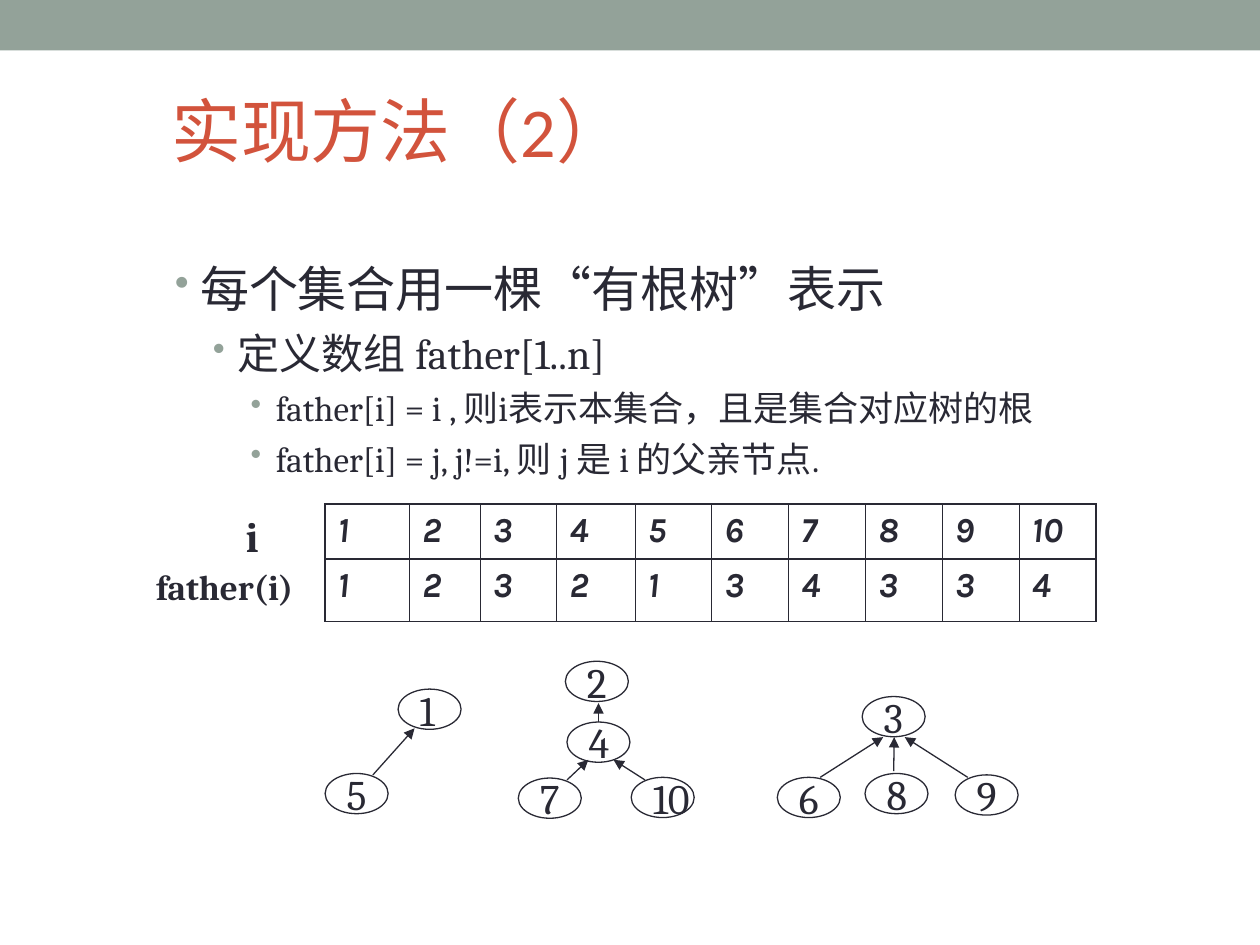
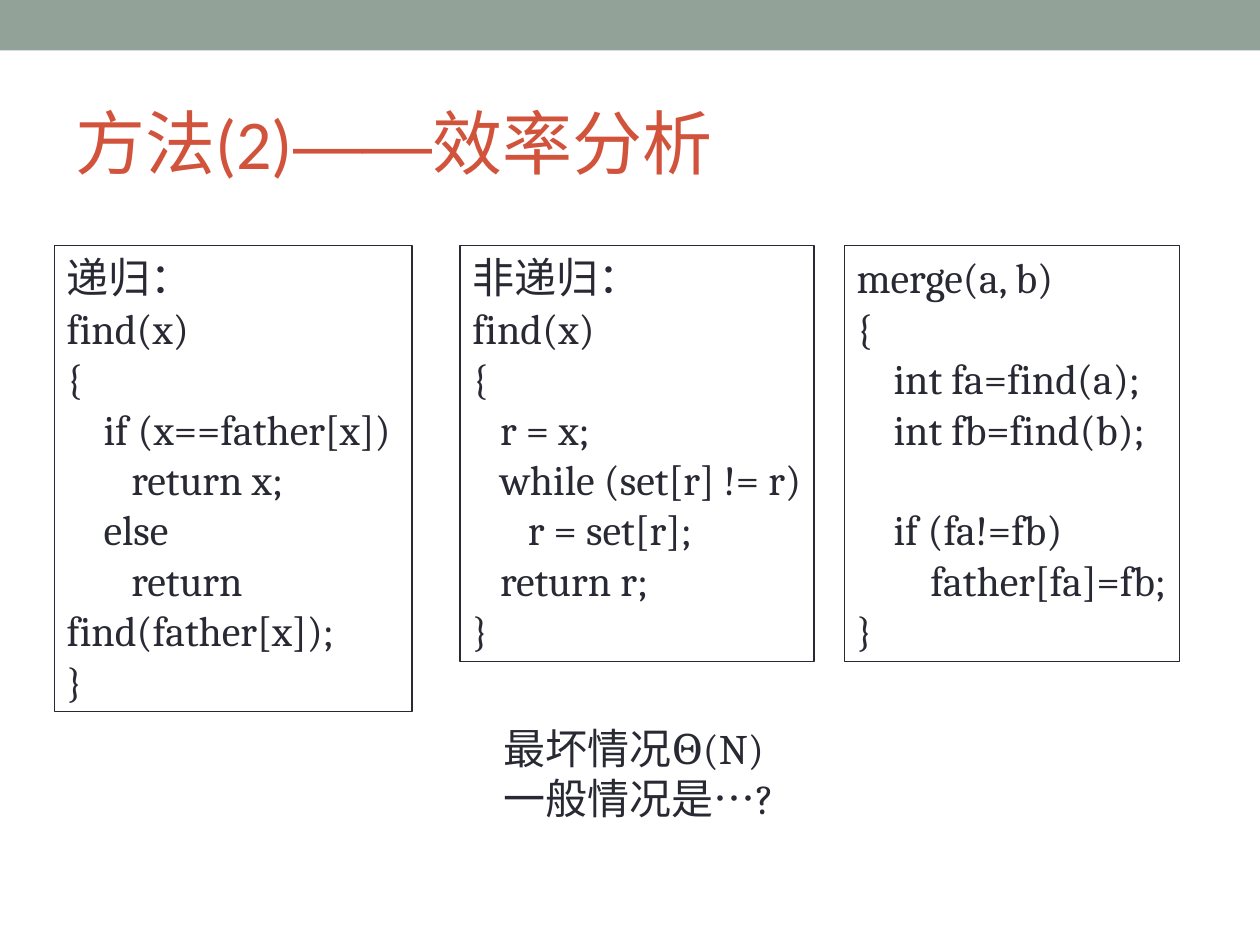
from lxml.etree import SubElement
from pptx import Presentation
from pptx.dml.color import RGBColor
from pptx.enum.shapes import MSO_CONNECTOR, MSO_SHAPE
from pptx.enum.text import MSO_ANCHOR, MSO_AUTO_SIZE, PP_ALIGN
from pptx.oxml.ns import qn
from pptx.util import Pt

SAGE = RGBColor(0x93, 0xA2, 0x99)
RED = RGBColor(0xD2, 0x53, 0x3C)
INK = RGBColor(0x29, 0x29, 0x34)
WHITE = RGBColor(0xFF, 0xFF, 0xFF)
SERIF, SANS = "Cambria", "Calibri"
NODE_W, NODE_H = 36, 23

POINTS = [  # level, size, text or (text, font) runs
    (0, 28, [("每个集合用一棵", SERIF), ("“", "Times New Roman"), ("有根树", SERIF),
             ("”", "Times New Roman"), ("表示", SERIF)]),
    (1, 24, "定义数组 father[1..n]"),
    (2, 20, "father[i] = i , 则i表示本集合，且是集合对应树的根"),
    (2, 20, "father[i] = j, j!=i, 则 j 是 i 的父亲节点."),
]
FATHERS = [1, 2, 3, 2, 1, 3, 4, 3, 3, 4]
COL_WIDTHS = [48.24, 40.32, 43.92, 44.64] + [43.92] * 6
NODES = {  # left, top
    1: (227.5, 393.8), 5: (185.8, 442), 2: (323.1, 377.9), 4: (324, 412.6),
    7: (296.2, 444.6), 10: (360.7, 444.2), 3: (492.7, 398), 6: (444.2, 444.2),
    8: (494.3, 442), 9: (545.8, 442.8),
}
ARROWS = [  # child end, father end
    ((213.1, 442.8), (236.9, 416.2)), ((324, 445.7), (336.2, 434.2)),
    ((368.6, 445.7), (350.6, 434.2)), ((342, 412.6), (342, 401.8)),
    ((468.7, 444.2), (504.7, 421.2)), ((510.7, 440.6), (511, 421.2)),
    ((553, 444.2), (517, 421.2)),
]
RECURSE = """递归：
find(x)
{
    if (x==father[x])
       return x;
    else
       return find(father[x]);
}"""
LOOP = """非递归：
find(x)
{
   r = x;
   while (set[r] != r)
      r = set[r];
   return r;
}"""
MERGE = """merge(a, b)
{
    int fa=find(a);
    int fb=find(b);
    
    if (fa!=fb)
        father[fa]=fb;
}"""


def style(run, size, font=SERIF, color=INK, bold=False, slant=False):
    run.font.size, run.font.name = Pt(size), font
    run.font.bold, run.font.italic = bold, slant
    run.font.color.rgb = color


def write(frame, text, size, **look):
    """Fill a frame with plain lines or a single line of (text, font) runs."""
    if isinstance(text, str):
        frame.text = text
        for para in frame.paragraphs:
            para.alignment = PP_ALIGN.LEFT
            for run in para.runs:
                style(run, size, **look)
    else:
        add_runs(frame.paragraphs[0], text, size, **look)


def add_runs(para, parts, size, **look):
    for text, font in parts:
        run = para.add_run()
        run.text = text
        style(run, size, font, **look)


def add_box(slide, box, text="", size=24, anchor=MSO_ANCHOR.TOP, **look):
    frame = slide.shapes.add_textbox(*map(Pt, box)).text_frame
    frame.word_wrap = True
    frame.vertical_anchor = anchor
    if text:
        write(frame, text, size, **look)
    return frame


def add_form(slide, kind, box, fill=None, line=None):
    form = slide.shapes.add_shape(kind, *map(Pt, box))
    form.shadow.inherit = False
    if fill is None:
        form.fill.background()
    else:
        form.fill.solid()
        form.fill.fore_color.rgb = fill
    if line is None:
        form.line.fill.background()
    else:
        form.line.color.rgb = line
        form.line.width = Pt(0.75)
    return form


def add_page(deck, title, box):
    slide = deck.slides.add_slide(deck.slide_layouts[6])
    add_form(slide, MSO_SHAPE.RECTANGLE, (0, 0, 720, 28.8), SAGE)
    add_box(slide, box, title, 40, MSO_ANCHOR.MIDDLE, color=RED)
    return slide


def add_list(slide, box, points):
    frame = add_box(slide, box)
    for n, (level, size, text) in enumerate(points):
        para = frame.add_paragraph() if n else frame.paragraphs[0]
        para.level = level
        if n:
            para.space_before = Pt(7 - level)
        props = para._p.get_or_add_pPr()
        props.set("marL", str(Pt(14.4 + 21.6 * level)))
        props.set("indent", str(-Pt(14.4)))
        tint = SubElement(props, qn("a:buClr"))
        SubElement(tint, qn("a:srgbClr"), val=str(SAGE))
        SubElement(props, qn("a:buSzPct"), val="90000" if level == 2 else "85000")
        SubElement(props, qn("a:buChar"), char="•")
        add_runs(para, [(text, SERIF)] if isinstance(text, str) else text, size)


def edge(cell, side, width):
    line = SubElement(cell._tc.get_or_add_tcPr(), qn("a:" + side), w=str(Pt(width)))
    fill = SubElement(line, qn("a:solidFill"))
    SubElement(fill, qn("a:srgbClr"), val=str(INK))


def add_grid(slide, left, top, widths, heights, rows):
    last = len(widths) - 1
    table = slide.shapes.add_table(len(rows), len(widths), Pt(left), Pt(top),
                                   Pt(sum(widths)), Pt(sum(heights))).table
    table.first_row = table.horz_banding = False
    for col, width in zip(table.columns, widths):
        col.width = Pt(width)
    for r, row in enumerate(rows):
        table.rows[r].height = Pt(heights[r])
        for c, value in enumerate(row):
            cell = table.cell(r, c)
            write(cell.text_frame, str(value), 20, font="Karla", bold=True, slant=True)
            edge(cell, "lnL", 0.45 if c else 1.08)
            edge(cell, "lnR", 0.45 if c < last else 1.08)
            edge(cell, "lnT", 1.08)
            edge(cell, "lnB", 1.08)
            cell.fill.background()


def add_node(slide, label, left, top):
    node = add_form(slide, MSO_SHAPE.OVAL, (left, top, NODE_W, NODE_H), WHITE, INK)
    frame = node.text_frame
    frame.word_wrap = False
    frame.vertical_anchor = MSO_ANCHOR.MIDDLE
    write(frame, str(label), 24)


def add_arrow(slide, start, end):
    arrow = slide.shapes.add_connector(MSO_CONNECTOR.STRAIGHT, *map(Pt, start + end))
    arrow.line.color.rgb = INK
    arrow.line.width = Pt(0.75)
    SubElement(arrow.line._get_or_add_ln(), qn("a:tailEnd"), type="triangle")
    SubElement(arrow._element.spPr, qn("a:effectLst"))


def add_code(slide, box, code, wrap=False):
    form = add_form(slide, MSO_SHAPE.RECTANGLE, box, line=INK)
    frame = form.text_frame
    frame.word_wrap = wrap
    frame.vertical_anchor = MSO_ANCHOR.TOP
    frame.auto_size = MSO_AUTO_SIZE.SHAPE_TO_FIT_TEXT
    write(frame, code, 24)


def tree_page(deck):
    slide = add_page(deck, [("实现方法（2）", SANS)], (90.7, 16.6, 613.4, 115.2))
    add_list(slide, (92.9, 144, 555.1, 138.2), POINTS)
    add_grid(slide, 185.76, 288, COL_WIDTHS, (31.5, 35.7),
             (range(1, len(FATHERS) + 1), FATHERS))
    add_box(slide, (133.2, 288, 27.4, 36), "i", 24, bold=True)
    add_box(slide, (82.1, 319.7, 97.9, 31.7), "father(i)", 20, bold=True)
    for label, (left, top) in NODES.items():
        add_node(slide, label, left, top)
    for start, end in ARROWS:
        add_arrow(slide, start, end)


def cost_page(deck):
    title = [("方法(2)", SANS), ("——", "Arial"), ("效率分析", SANS)]
    slide = add_page(deck, title, (36, 41.8, 648, 77.8))
    add_code(slide, (31, 140.4, 204.5, 266.4), RECURSE, wrap=True)
    add_code(slide, (262.8, 140.4, 202.3, 237.6), LOOP)
    add_code(slide, (482.4, 140.4, 191.5, 237.6), MERGE)
    add_box(slide, (280.8, 380.2, 167, 122.4), "最坏情况Θ(N)\n一般情况是…?", 24,
            MSO_ANCHOR.MIDDLE)


def main():
    deck = Presentation()
    deck.slide_width, deck.slide_height = Pt(720), Pt(540)
    tree_page(deck)
    cost_page(deck)
    deck.save("out.pptx")


if __name__ == "__main__":
    main()
